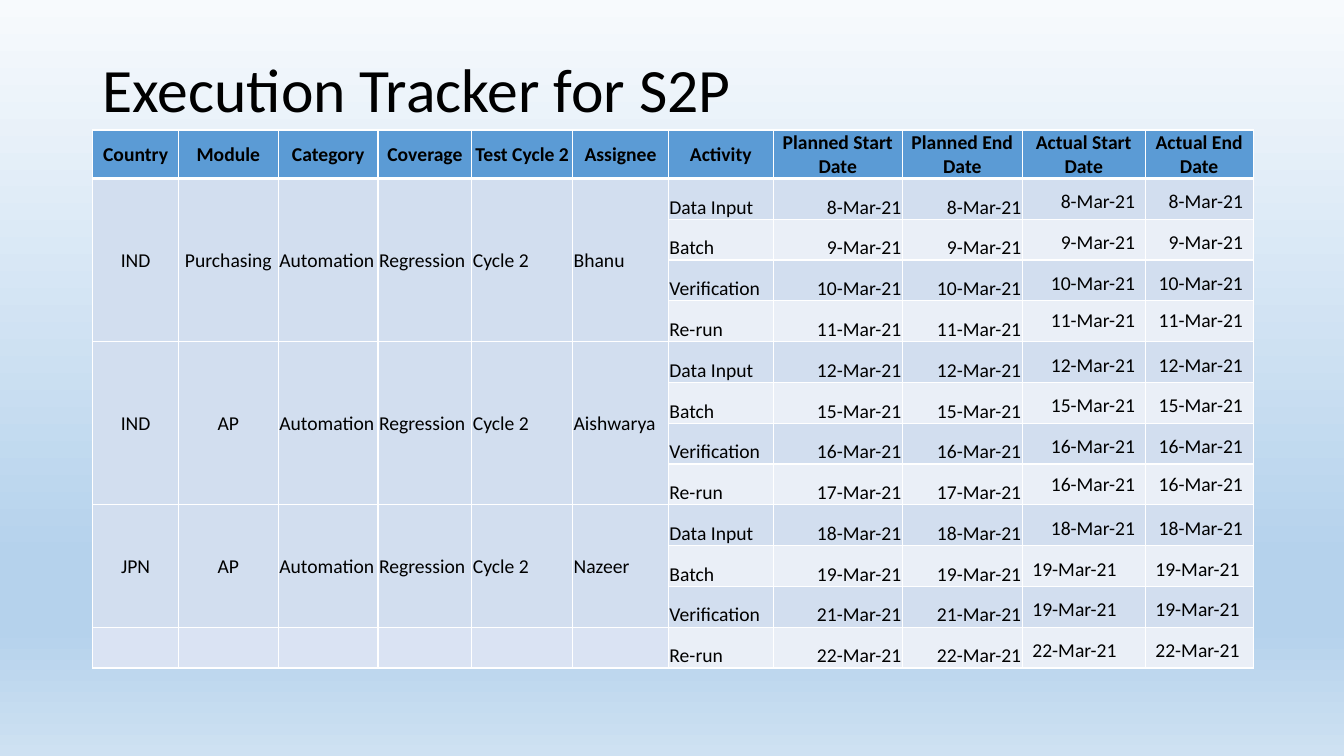
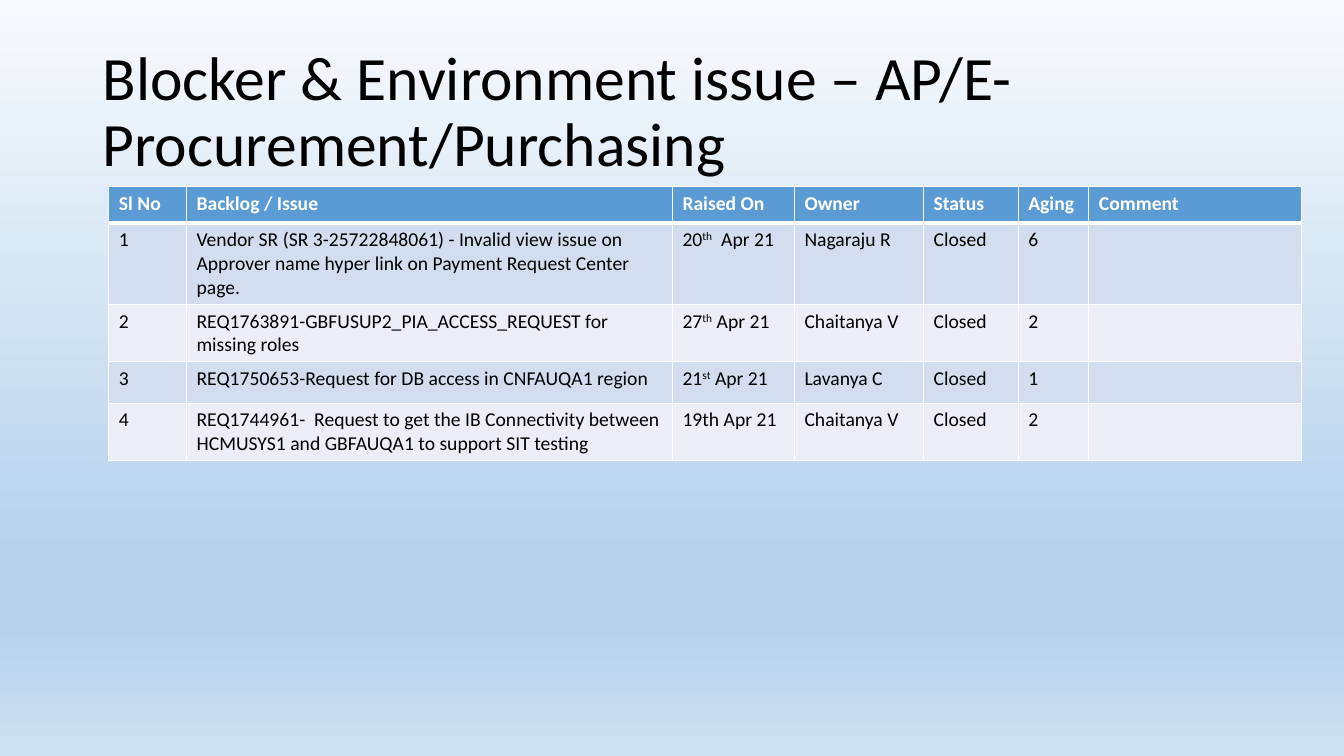
from lxml import etree
from pptx import Presentation
from pptx import util as u
from pptx.dml.color import RGBColor
from pptx.enum import text
from pptx.oxml import ns

FONT = "Calibri"
BLACK = RGBColor(0x00, 0x00, 0x00)
WHITE = RGBColor(0xFF, 0xFF, 0xFF)
HEADER = RGBColor(0x5B, 0x9B, 0xD5)
BAND_DARK = RGBColor(0xD2, 0xDE, 0xEF)
BAND_LIGHT = RGBColor(0xEA, 0xEF, 0xF7)
UNASSIGNED = RGBColor(0xDA, 0xE3, 0xF3)
SKY = [(0, RGBColor(0xF7, 0xFA, 0xFD)), (74, RGBColor(0xB5, 0xD2, 0xEC)),
       (83, RGBColor(0xB5, 0xD2, 0xEC)), (100, RGBColor(0xCE, 0xE1, 0xF2))]

LEFT, CENTER, RIGHT = (text.PP_ALIGN.LEFT, text.PP_ALIGN.CENTER,
                       text.PP_ALIGN.RIGHT)
TOP, MIDDLE, BOTTOM = (text.MSO_ANCHOR.TOP, text.MSO_ANCHOR.MIDDLE,
                       text.MSO_ANCHOR.BOTTOM)
TIGHT = {"margin_left": u.Inches(0.01), "margin_top": u.Inches(0.01),
         "margin_right": u.Inches(0.01), "margin_bottom": 0}

# Execution tracker content
TRACKER_HEAD = ["Country", "Module", "Category", "Coverage", "Test Cycle 2",
                "Assignee", "Activity", "Planned Start Date",
                "Planned End Date", "Actual Start Date", "Actual End Date"]
TRACKER_COLS = [0.85, 0.99, 0.99, 0.93, 1, 0.95, 1.04, 1.28, 1.19, 1.22, 1.07]
# First row, rows spanned, country, module, assignee
GROUPS = [(1, 4, "IND", "Purchasing", "Bhanu"),
          (5, 4, "IND", "AP", "Aishwarya"),
          (9, 3, "JPN", "AP", "Nazeer")]
ACTIVITIES = ["Data Input", "Batch ", "Verification", "Re-run"]
PLANNED = [8, 9, 10, 11, 12, 15, 16, 17, 18, 19, 21, 22]
ACTUAL = [8, 9, 10, 11, 12, 15, 16, 16, 18, 19, 19, 22]

# Issue list content; ^ encloses superscript
ISSUE_COLS = [0.77, 4.82, 1.21, 1.28, 0.94, 0.7, 2.11]
ISSUE_ROWS = [0.36, 0.81, 0.57, 0.41, 0.57]
ISSUES = [
    ["Sl No", "Backlog / Issue ", "Raised On ", "Owner", "Status", "Aging",
     "Comment"],
    ["1", "Vendor SR (SR 3-25722848061) - Invalid view issue on Approver name "
     "hyper link on Payment Request Center page.", "20^th^  Apr 21",
     "Nagaraju R", "Closed", "6", ""],
    ["2", "REQ1763891-GBFUSUP2_PIA_ACCESS_REQUEST for missing roles",
     "27^th^ Apr 21", "Chaitanya V", "Closed", "2", ""],
    ["3", "REQ1750653-Request for DB access in CNFAUQA1 region",
     "21^st^ Apr 21", "Lavanya C", "Closed", "1", ""],
    ["4", "REQ1744961-  Request to get the IB Connectivity between HCMUSYS1 "
     "and GBFAUQA1 to support SIT testing", "19th Apr 21", "Chaitanya V",
     "Closed", "2", ""],
]


def apply(obj, values):
    for name, value in values.items():
        setattr(obj, name, value)


def write(p, content, size, color=BLACK, bold=False):
    for i, part in enumerate(content.split("^")):
        r = p.add_run()
        r.text = part
        apply(r.font, {"name": FONT, "size": u.Pt(size), "bold": bold})
        r.font.color.rgb = color
        if i % 2:
            r.font._element.set("baseline", "30000")


def set_background(master):
    fill = master.background.fill
    fill.gradient()
    fill.gradient_angle = 270
    stops = fill._fill._gradFill.find(ns.qn("a:gsLst"))
    for old in list(stops):
        stops.remove(old)
    for pos, color in SKY:
        gs = etree.SubElement(stops, ns.qn("a:gs"), pos=str(pos * 1000))
        etree.SubElement(gs, ns.qn("a:srgbClr"), val=str(color))


def add_title(s, content, height):
    sp = s.shapes.add_textbox(u.Inches(0.92), u.Inches(0.4),
                              u.Inches(11.5), u.Inches(height))
    tf = sp.text_frame
    apply(tf, {"word_wrap": True, "vertical_anchor": MIDDLE})
    p = tf.paragraphs[0]
    p.line_spacing = 0.9
    write(p, content, 44)


def add_border(cell, side, width):
    ln = etree.SubElement(cell._tc.get_or_add_tcPr(), ns.qn("a:ln" + side),
                          w=str(u.Pt(width)))
    fill = etree.SubElement(ln, ns.qn("a:solidFill"))
    etree.SubElement(fill, ns.qn("a:srgbClr"), val=str(WHITE))


def add_table(s, left, top, cols, rows):
    """Add a banded grid with white rules, heavier below the header."""
    table = s.shapes.add_table(
        len(rows), len(cols), u.Inches(left), u.Inches(top),
        u.Inches(sum(cols)), u.Inches(sum(rows))).table
    for column, width in zip(table.columns, cols):
        column.width = u.Inches(width)
    for i, height in enumerate(rows):
        table.rows[i].height = u.Inches(height)
        for cell in table.rows[i].cells:
            for side in "LRTB":
                heavy = (i, side) in ((0, "B"), (1, "T"))
                add_border(cell, side, 3 if heavy else 1)
            cell.fill.solid()
            cell.fill.fore_color.rgb = (
                HEADER if i == 0 else BAND_DARK if i % 2 else BAND_LIGHT)
    return table


def fill_cell(cell, content, align=LEFT, anchor=TOP, margins=None,
              color=BLACK, bold=False):
    apply(cell, {"vertical_anchor": anchor, **(margins or {})})
    p = cell.text_frame.paragraphs[0]
    p.alignment = align
    if content:
        write(p, content, 14, color, bold)


def build_tracker(s):
    add_title(s, "Execution Tracker for S2P", 1.03)
    head_height, count = 0.48, len(PLANNED)
    rows = [head_height] + [(5.34 - head_height) / count] * count
    table = add_table(s, 0.92, 1.29, TRACKER_COLS, rows)
    for col, label in enumerate(TRACKER_HEAD):
        fill_cell(table.cell(0, col), label, CENTER, MIDDLE, TIGHT, bold=True)

    # Merged group cells
    for first, span, country, module, assignee in GROUPS:
        values = [country, module, "Automation", "Regression", "Cycle 2",
                  assignee]
        for col, value in enumerate(values):
            cell = table.cell(first, col)
            cell.merge(table.cell(first + span - 1, col))
            fill_cell(cell, value, CENTER if col < 2 else LEFT, MIDDLE, TIGHT)
    for col in range(6):
        table.cell(count, col).fill.fore_color.rgb = UNASSIGNED

    # Activities and dates
    for row, (planned, actual) in enumerate(zip(PLANNED, ACTUAL), 1):
        fill_cell(table.cell(row, 6), ACTIVITIES[(row - 1) % 4],
                  anchor=BOTTOM, margins=TIGHT)
        for col in (7, 8):
            fill_cell(table.cell(row, col), f"{planned}-Mar-21", RIGHT,
                      BOTTOM, TIGHT)
        for col in (9, 10):
            fill_cell(table.cell(row, col), f"{actual}-Mar-21",
                      RIGHT if row < 10 else LEFT,
                      MIDDLE if row in (4, 8) else BOTTOM)


def build_issues(s):
    add_title(s, "Blocker & Environment issue – AP/E-Procurement/Purchasing",
              1.45)
    table = add_table(s, 1.08, 1.85, ISSUE_COLS, ISSUE_ROWS)
    for row, values in enumerate(ISSUES):
        for col, value in enumerate(values):
            fill_cell(table.cell(row, col), value,
                      color=BLACK if row else WHITE, bold=row == 0)


def main():
    prs = Presentation()
    apply(prs, {"slide_width": u.Inches(13.33), "slide_height": u.Inches(7.5)})
    set_background(prs.slide_master)
    for build in (build_tracker, build_issues):
        build(prs.slides.add_slide(prs.slide_layouts[6]))
    prs.save("out.pptx")


main()
